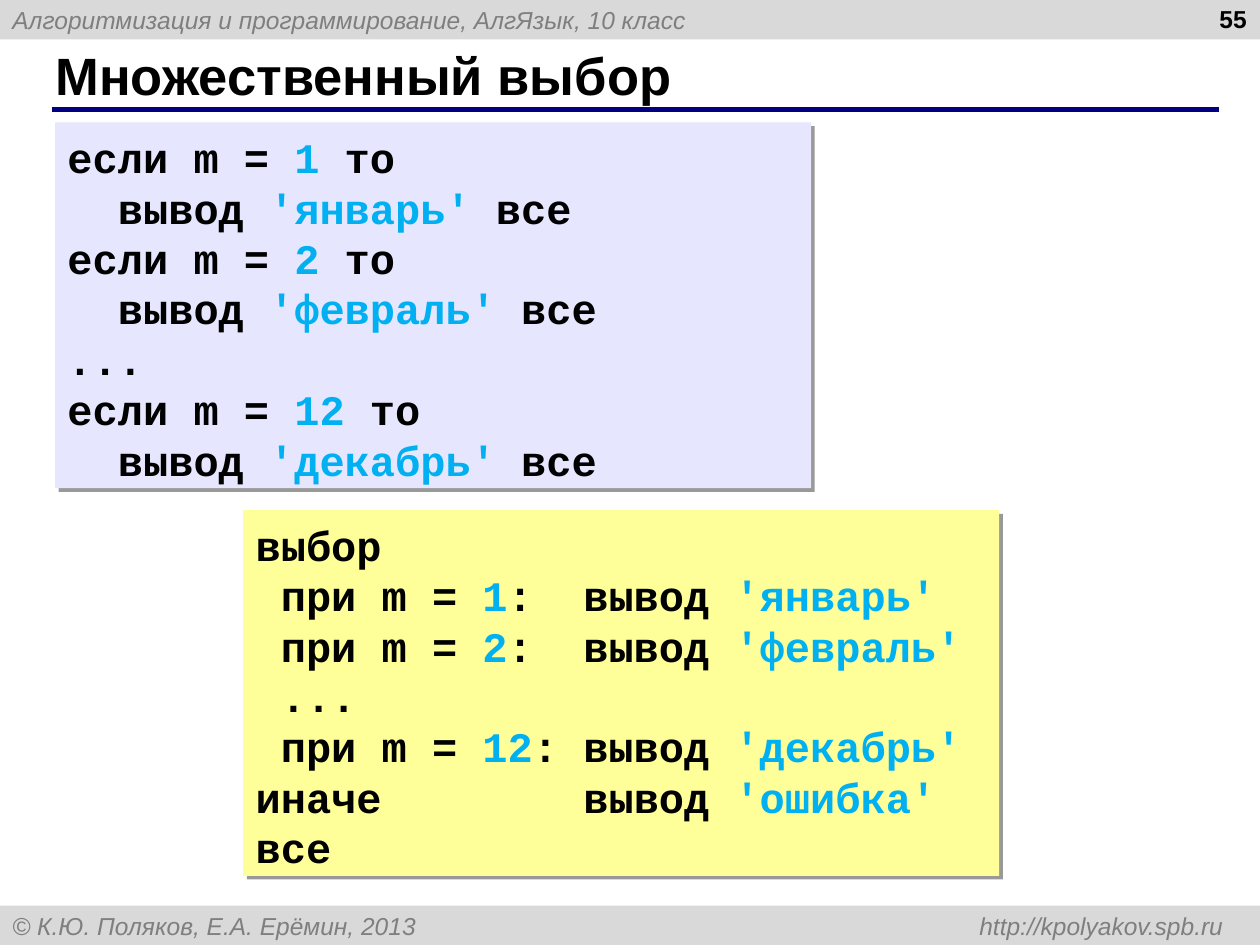
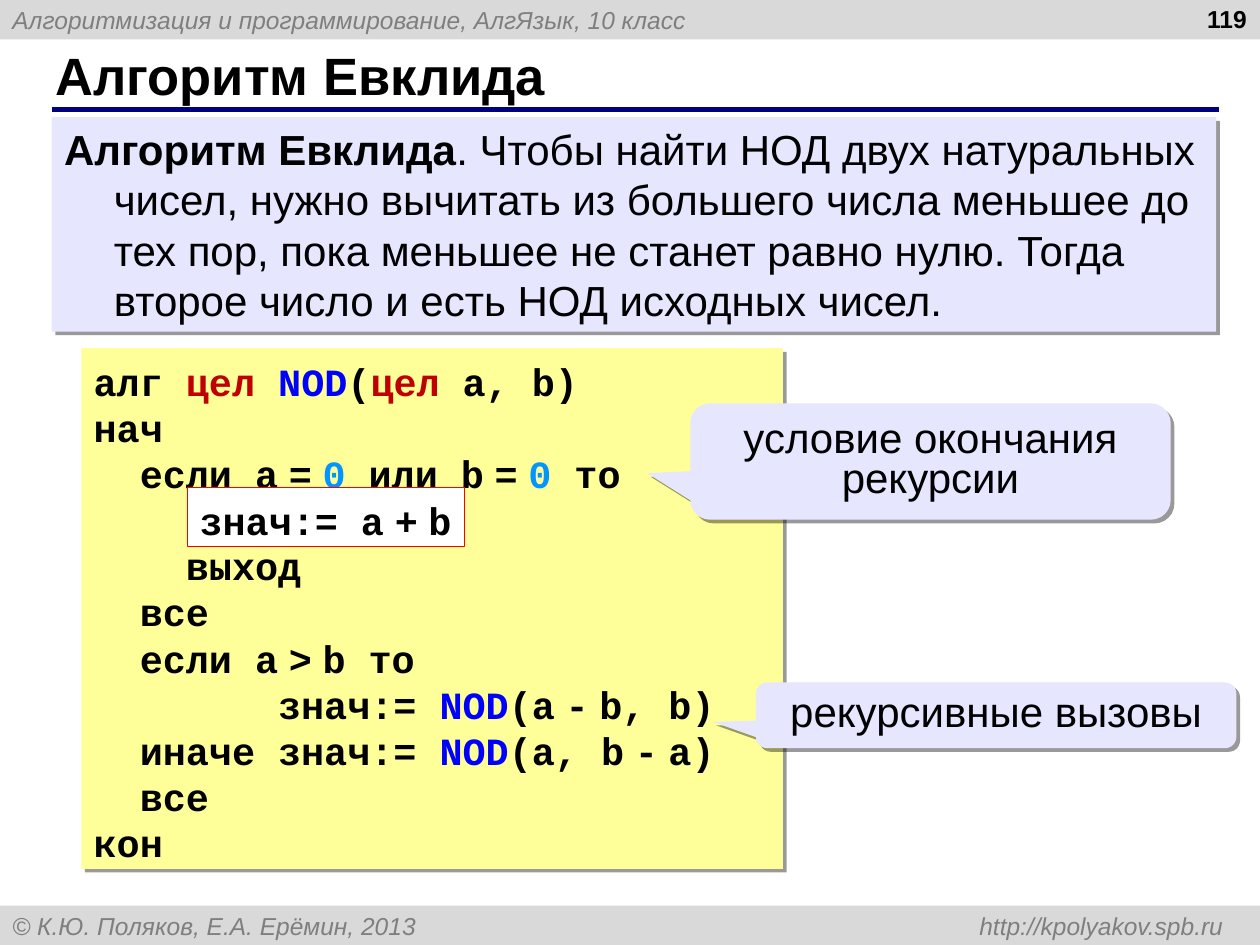
"""Build two lecture slides on multiple choice and Euclid's algorithm."""
from lxml import etree
from pptx import Presentation
from pptx.dml.color import RGBColor
from pptx.enum.shapes import MSO_CONNECTOR as Connector, MSO_SHAPE as Shape
from pptx.enum.text import MSO_ANCHOR as Anchor, PP_ALIGN as Align
from pptx.oxml import parse_xml
from pptx.oxml.ns import nsdecls, qn
from pptx.util import Pt

COLORS = {
    "band": "D9D9D9", "band_text": "7F7F7F", "rule": "000080", "ink": "000000",
    "lilac": "E6E6FF", "yellow": "FFFF99", "white": "FFFFFF", "frame": "FF0000",
    "value": "00B0F0", "zero": "0095FF", "type": "C00000", "call": "0000FF",
}
SANS, MONO = "Arial", "Courier New"
WIDTH, HEIGHT, BAND_HEIGHT = 720, 540, 22.5
LEADING = 1.2
COURSE = "Алгоритмизация и программирование, АлгЯзык, 10 класс"
FOOTER = "© К.Ю. Поляков, Е.А. Ерёмин, 2013 \thttp://kpolyakov.spb.ru"


def rgb(name):
    return RGBColor.from_string(COLORS[name])


class Deck:
    def __init__(self):
        self.presentation = Presentation()
        self.presentation.slide_width = Pt(WIDTH)
        self.presentation.slide_height = Pt(HEIGHT)
        self.slide = None

    def style(self, run, size, color="ink", font=SANS, bold=False, italic=False):
        run.font.name = font
        run.font.size = Pt(size)
        run.font.bold = bold
        run.font.italic = italic
        run.font.color.rgb = rgb(color)

    def start(self, title, number):
        self.slide = self.presentation.slides.add_slide(self.presentation.slide_layouts[5])
        self.band(0, COURSE)
        self.band(HEIGHT - BAND_HEIGHT, FOOTER)
        self.rule(29.5, 696.5, 62.6)
        self.title(title)
        self.number(number)

    def band(self, top, text):
        band = self.shape(Shape.RECTANGLE, (0, top, WIDTH, BAND_HEIGHT), "band")
        band.text_frame.text = text
        paragraph = band.text_frame.paragraphs[0]
        paragraph.alignment = Align.LEFT
        tabs = etree.SubElement(paragraph._p.get_or_add_pPr(), qn("a:tabLst"))
        etree.SubElement(tabs, qn("a:tab"), pos=str(Pt(692)), algn="r")
        self.style(paragraph.runs[0], 14, "band_text", italic=True)

    def rule(self, left, right, y):
        rule = self.slide.shapes.add_connector(
            Connector.STRAIGHT, Pt(left), Pt(y), Pt(right), Pt(y))
        rule.line.color.rgb = rgb("rule")
        rule.line.width = Pt(3)
        etree.SubElement(rule._element.spPr, qn("a:effectLst"))

    def title(self, text):
        title = self.slide.shapes.title
        title.left, title.top, title.width, title.height = map(Pt, (24.5, 24, 659.5, 37.5))
        title.text_frame.text = text
        title.text_frame.vertical_anchor = Anchor.MIDDLE
        paragraph = title.text_frame.paragraphs[0]
        paragraph.alignment = Align.LEFT
        self.style(paragraph.runs[0], 30, bold=True)

    def number(self, text):
        box = self.slide.shapes.add_textbox(*map(Pt, (551.5, -1.5, 168, 37.5)))
        box.text_frame.word_wrap = True
        box.text_frame.text = text
        paragraph = box.text_frame.paragraphs[0]
        paragraph.alignment = Align.RIGHT
        self.style(paragraph.runs[0], 14, bold=True)

    def shape(self, kind, at, fill, line=None, shadow=False):
        shape = self.slide.shapes.add_shape(kind, *map(Pt, at))
        shape.shadow.inherit = False
        shape.fill.solid()
        shape.fill.fore_color.rgb = rgb(fill)
        if line:
            shape.line.color.rgb = rgb(line)
            shape.line.width = Pt(0.75)
        else:
            shape.line.fill.background()
        if shadow:
            effects = shape._element.spPr.find(qn("a:effectLst"))
            effects.append(parse_xml(
                f'<a:outerShdw {nsdecls("a")} blurRad="0" dist="{Pt(3)}" dir="2700000" '
                f'algn="tl" rotWithShape="0"><a:srgbClr val="{COLORS["ink"]}">'
                '<a:alpha val="40000"/></a:srgbClr></a:outerShdw>'))
        shape.text_frame.word_wrap = True
        shape.text_frame.vertical_anchor = Anchor.MIDDLE
        return shape

    def code(self, at, fill, size, lines, line=None, wrap=True, gap_before=None):
        """Set lines of text or (text, color) parts, with ~ for a narrow space."""
        box = self.shape(Shape.RECTANGLE, at, fill, line, shadow=line is None)
        frame = box.text_frame
        frame.word_wrap = wrap
        frame.vertical_anchor = Anchor.TOP
        frame.margin_top = Pt(5.3)
        for index, parts in enumerate(lines):
            paragraph = frame.add_paragraph() if index else frame.paragraphs[0]
            paragraph.alignment = Align.LEFT
            paragraph.line_spacing = Pt(size * LEADING)
            if index == gap_before:
                paragraph.space_before = Pt(size * LEADING)
            for part in parts:
                text, color = (part, "ink") if isinstance(part, str) else part
                for position, piece in enumerate(text.split("~")):
                    if position:
                        self.add_text(paragraph, " ", size, color, SANS)
                    if piece:
                        self.add_text(paragraph, piece, size, color, MONO)

    def add_text(self, paragraph, text, size, color="ink", font=SANS, bold=True):
        run = paragraph.add_run()
        run.text = text
        self.style(run, size, color, font, bold)

    def definition(self, at, term, text):
        box = self.shape(Shape.RECTANGLE, at, "lilac", shadow=True)
        box.text_frame.vertical_anchor = Anchor.TOP
        paragraph = box.text_frame.paragraphs[0]
        paragraph.alignment = Align.LEFT
        paragraph.line_spacing = Pt(24 * LEADING)
        properties = paragraph._p.get_or_add_pPr()
        properties.set("marL", str(Pt(28.5)))
        properties.set("indent", str(Pt(-28.5)))
        self.add_text(paragraph, term, 24)
        self.add_text(paragraph, text, 24, bold=False)

    def callout(self, at, text):
        callout = self.shape(Shape.ROUNDED_RECTANGULAR_CALLOUT, at, "lilac", shadow=True)
        for index, value in enumerate((-0.59, 0.1, 0.17)):
            callout.adjustments[index] = value
        callout.text_frame.text = text
        paragraph = callout.text_frame.paragraphs[0]
        paragraph.alignment = Align.CENTER
        paragraph.line_spacing = Pt(23)
        self.style(paragraph.runs[0], 24)


def multiple_choice(deck):
    deck.start("Множественный выбор", "55")
    months = [("1", "'январь'"), ("2", "'февраль'"), ("12", "'декабрь'")]
    conditions, cases = [], []
    for number, month in months:
        conditions += [["если m = ", (number, "value"), " то"],
                       ["  вывод ", (month, "value"), " все"]]
        cases.append([" при m = ", (number, "value"),
                      ":".ljust(4 - len(number)) + "вывод ", (month, "value")])
    conditions.insert(4, ["..."])
    cases.insert(2, [" ..."])
    deck.code((31.5, 70, 432, 209), "lilac", 24, conditions)
    deck.code((139, 291.5, 432, 209), "yellow", 24, [
        ["выбор"], *cases, ["иначе        вывод ", ("'ошибка'", "value")], ["все"]])


def euclid(deck):
    deck.start("Алгоритм Евклида", "119")
    deck.definition(
        (29.5, 67, 665.5, 122.5), "Алгоритм Евклида",
        ". Чтобы найти НОД двух натуральных чисел, нужно вычитать из большего числа "
        "меньшее до тех пор, пока меньшее не станет равно нулю. Тогда второе число "
        "и есть НОД исходных чисел.")
    zero, integer, call = ("0", "zero"), ("цел", "type"), ("NOD", "call")
    deck.code((46.5, 199, 401, 297.5), "yellow", 22, [
        ["алг ", integer, " ", call, "(", integer, " a, b)"],
        ["нач"],
        ["  если a~=~", zero, " или b~=~", zero, " то"],
        ["    выход"],
        ["  все"],
        ["  если a~>~b то"],
        ["        знач:= ", call, "(a~-~b, b)"],
        ["  иначе знач:= ", call, "(a, b~-~a)"],
        ["  все"],
        ["кон"],
    ], gap_before=3)
    deck.code((107, 278.5, 158.5, 34), "white", 22, [["знач:= a~+~b"]],
              line="frame", wrap=False)
    deck.callout((432, 390, 274.5, 37.5), "рекурсивные вызовы")
    deck.callout((394.5, 230.5, 274.5, 66.5), "условие окончания рекурсии")


def main():
    deck = Deck()
    multiple_choice(deck)
    euclid(deck)
    deck.presentation.save("out.pptx")


if __name__ == "__main__":
    main()
